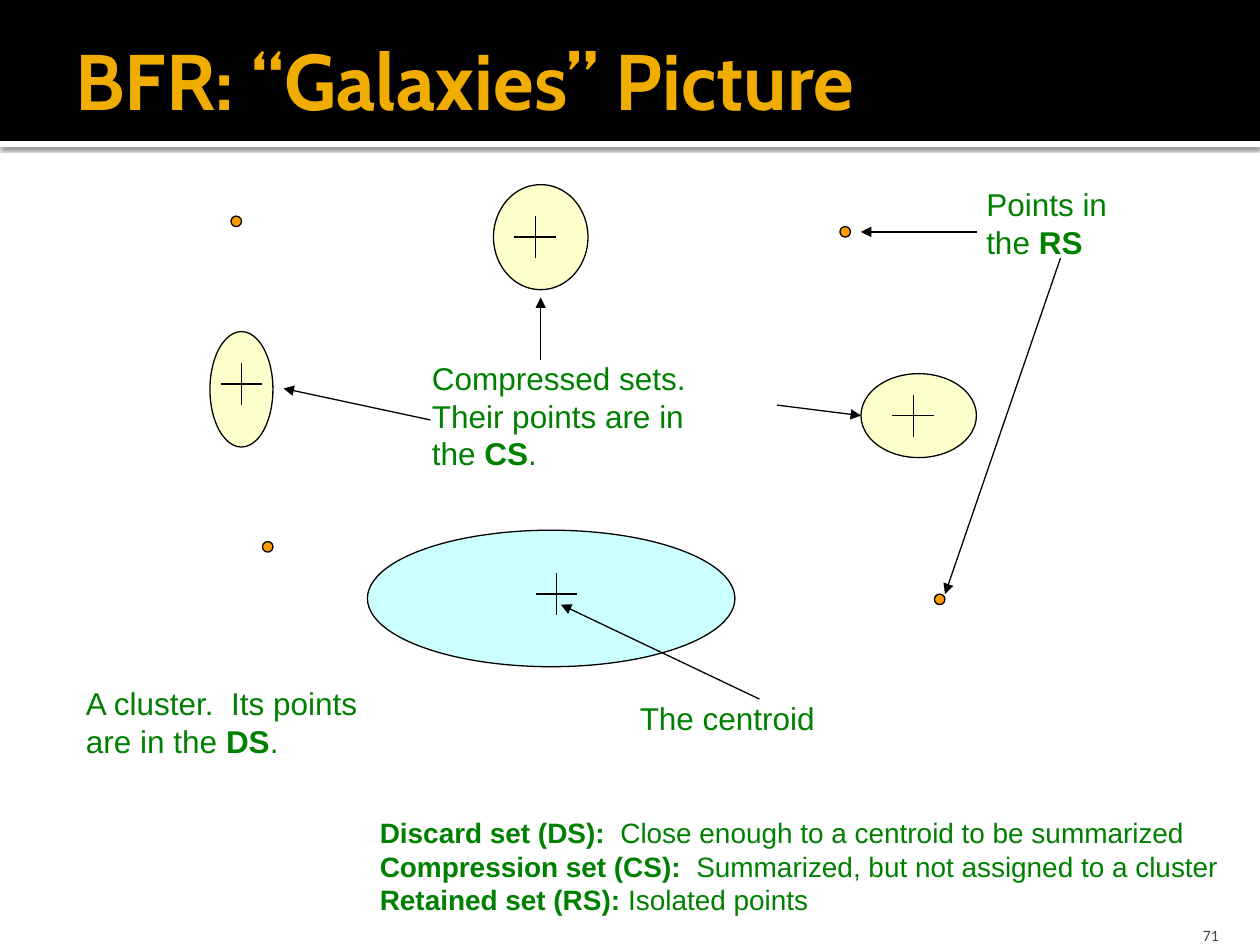
from lxml import etree
from pptx import Presentation
from pptx.dml.color import RGBColor
from pptx.enum.shapes import MSO_CONNECTOR, MSO_SHAPE
from pptx.enum.text import MSO_ANCHOR, MSO_AUTO_SIZE, PP_ALIGN
from pptx.oxml.ns import qn
from pptx.util import Pt

RECTANGLE = MSO_SHAPE.RECTANGLE
OVAL = MSO_SHAPE.OVAL
STRAIGHT = MSO_CONNECTOR.STRAIGHT
TOP, MIDDLE, BOTTOM = MSO_ANCHOR.TOP, MSO_ANCHOR.MIDDLE, MSO_ANCHOR.BOTTOM
LEFT, RIGHT = PP_ALIGN.LEFT, PP_ALIGN.RIGHT
GROW, FIXED = MSO_AUTO_SIZE.SHAPE_TO_FIT_TEXT, MSO_AUTO_SIZE.NONE

BLACK, WHITE = "000000", "FFFFFF"
GOLD, GREEN, GRAY = "F0AD00", "008000", "454545"
CYAN, YELLOW, ORANGE = "CCFFFF", "FFFF99", "FF9900"


def color(value):
    return RGBColor.from_string(value)


class GalaxySlide:
    line_width = 0.75
    cross_arm = 12
    point_size = 6

    def __init__(self, slide):
        self.slide = slide

    def shape(self, preset, left, top, width, height, fill, outlined=True):
        shape = self.slide.shapes.add_shape(
            preset, Pt(left), Pt(top), Pt(width), Pt(height))
        shape.shadow.inherit = False
        shape.fill.solid()
        shape.fill.fore_color.rgb = color(fill)
        if outlined:
            shape.line.color.rgb = color(BLACK)
            shape.line.width = Pt(self.line_width)
        else:
            shape.line.fill.background()
        return shape

    def band(self, top, height, fill):
        return self.shape(RECTANGLE, 0, top, 720, height, fill, False)

    def shadowed_band(self, top, height, fill):
        effects = self.band(top, height, fill)._element.spPr.find(qn("a:effectLst"))
        shadow = etree.SubElement(effects, qn("a:outerShdw"), blurRad=str(Pt(2.5)),
                                  dist=str(Pt(0.8)), dir="5400000", rotWithShape="0")
        tint = etree.SubElement(shadow, qn("a:srgbClr"), val=BLACK)
        etree.SubElement(tint, qn("a:alpha"), val="60000")

    def cluster(self, left, top, width, height, fill, opacity=100):
        oval = self.shape(OVAL, left, top, width, height, fill)
        if opacity < 100:
            tint = oval._element.spPr.find(qn("a:solidFill"))[0]
            etree.SubElement(tint, qn("a:alpha"), val=str(opacity * 1000))

    def point(self, left, top):
        self.shape(OVAL, left, top, self.point_size, self.point_size, ORANGE)

    def line(self, x1, y1, x2, y2):
        line = self.slide.shapes.add_connector(
            STRAIGHT, Pt(x1), Pt(y1), Pt(x2), Pt(y2))
        line.line.color.rgb = color(BLACK)
        line.line.width = Pt(self.line_width)
        etree.SubElement(line._element.spPr, qn("a:effectLst"))
        return line

    def arrow(self, x1, y1, x2, y2):
        outline = self.line(x1, y1, x2, y2).line._get_or_add_ln()
        etree.SubElement(outline, qn("a:tailEnd"), type="triangle")

    def cross(self, x, y):
        arm = self.cross_arm
        self.line(x, y - arm, x, y + arm)
        self.line(x - arm, y, x + arm, y)

    def text(self, left, top, width, height, lines, size=18, font="Arial",
             ink=GREEN, wrap=False, anchor=TOP, align=LEFT, fit=GROW,
             right_inset=7.2, bottom_inset=3.6):
        box = self.slide.shapes.add_textbox(Pt(left), Pt(top), Pt(width), Pt(height))
        frame = box.text_frame
        frame.word_wrap = wrap
        frame.auto_size = fit
        frame.vertical_anchor = anchor
        frame.margin_right = Pt(right_inset)
        frame.margin_bottom = Pt(bottom_inset)
        for index, content in enumerate(lines):
            paragraph = frame.paragraphs[0] if index == 0 else frame.add_paragraph()
            paragraph.alignment = align
            for position, part in enumerate(content.split("*")):
                if part:
                    run = paragraph.add_run()
                    run.text = part
                    run.font.bold = position % 2 == 1
                    run.font.size = Pt(size)
                    run.font.name = font
                    run.font.color.rgb = color(ink)


def main():
    deck = Presentation()
    deck.slide_width, deck.slide_height = Pt(720), Pt(540)
    page = GalaxySlide(deck.slides.add_slide(deck.slide_layouts[6]))

    page.shadowed_band(80.5, 3.6, WHITE)
    page.band(0, 80.5, BLACK)
    page.text(36, 12, 648, 66, ["*BFR: “Galaxies” Picture*"], 45, "Cabin", GOLD,
              wrap=True, anchor=MIDDLE, fit=FIXED, right_inset=3.6)
    page.text(646, 518.4, 57.6, 21.6, ["71"], 9, "Calibri", GRAY, wrap=True,
              anchor=BOTTOM, align=RIGHT, fit=FIXED, bottom_inset=0)

    page.cluster(210, 303, 210, 78, CYAN)
    page.text(42, 387.5, 171, 51, ["A cluster.  Its points", "are in the *DS*."])
    page.cross(318, 339.5)
    page.text(358.5, 396, 115, 29, ["The centroid"])
    page.arrow(434, 399.5, 320.5, 345.5)

    for bounds in ((120, 189.5, 36, 66), (492, 213.5, 66, 48), (282, 105.5, 54, 60)):
        page.cluster(*bounds, YELLOW, opacity=50)
    for center in ((138, 219.5), (522, 237.5), (306, 135.5)):
        page.cross(*center)
    page.text(239.7, 201.5, 161, 73,
              ["Compressed sets.", "Their points are in", "the *CS*."])
    for ends in ((246, 240, 162, 222), (309, 206, 309, 170), (444, 231.5, 492, 237.5)):
        page.arrow(*ends)

    for corner in ((132, 123.5), (150, 309.5), (534, 339.5), (480, 129.5)):
        page.point(*corner)
    page.text(556.5, 102.3, 84, 51, ["Points in", "the *RS*"])
    page.arrow(558, 132.5, 492, 132.5)
    page.arrow(606, 147.5, 540, 339.5)

    page.text(210, 462.5, 504, 65.5, [
        "*Discard set (DS):*  Close enough to a centroid to be summarized",
        "*Compression set (CS):*  Summarized, but not assigned to a cluster",
        "*Retained set (RS):* Isolated points",
    ], size=16, wrap=True)

    deck.save("out.pptx")


if __name__ == "__main__":
    main()
